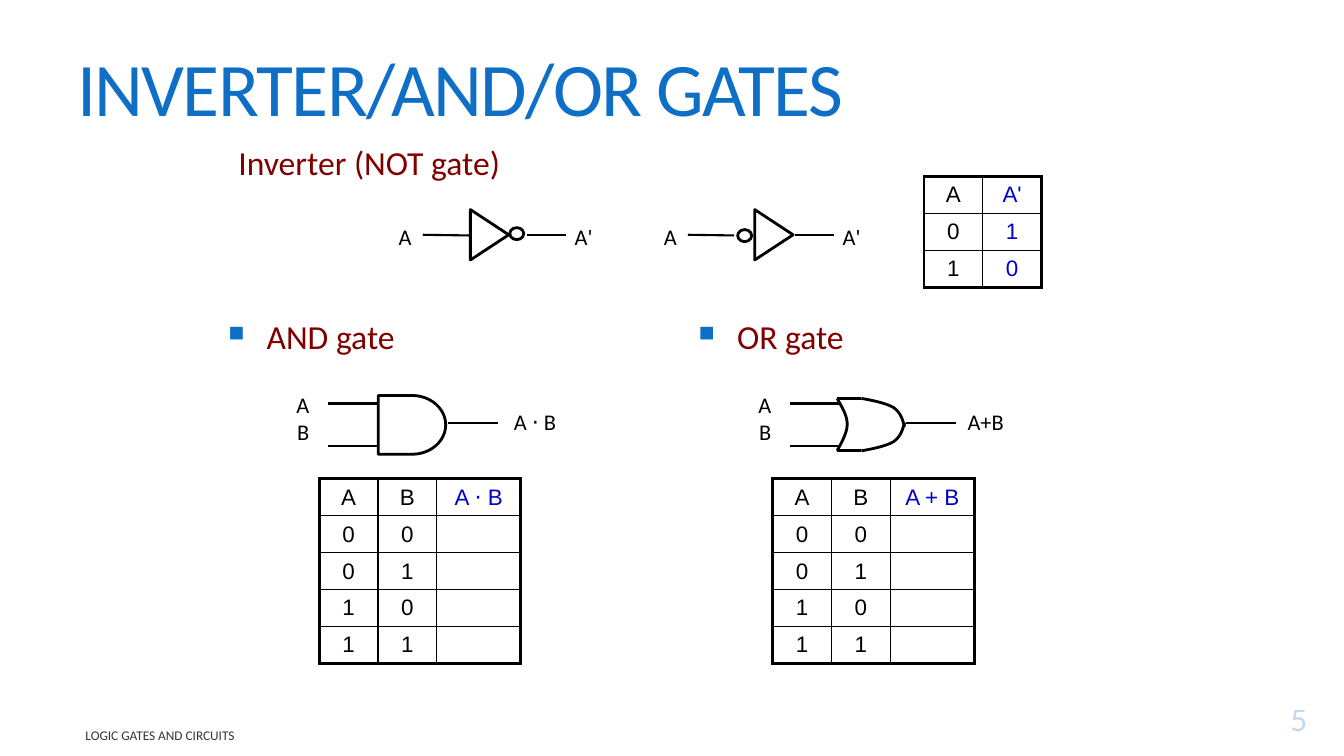
import lxml.etree
import pptx
import pptx.dml.color
import pptx.enum.shapes
import pptx.enum.text
import pptx.oxml
import pptx.oxml.ns
import pptx.util

Pt = pptx.util.Pt
qn = pptx.oxml.ns.qn
SHAPE = pptx.enum.shapes.MSO_SHAPE
ALIGN = pptx.enum.text.PP_ALIGN
ANCHOR = pptx.enum.text.MSO_ANCHOR

COLORS = {"blue": "0F6FC6", "maroon": "800000", "ink": "000000", "output": "0000CC"}
ROW_HEIGHT = 26.4
INPUT_WIDTH = 42
OUTPUT_WIDTH = 60


def rgb(name):
    return pptx.dml.color.RGBColor.from_string(COLORS[name])


def add_element(parent, tag, **attributes):
    element = lxml.etree.SubElement(parent, qn(tag))
    for name, value in attributes.items():
        element.set(name, str(value))
    return element


def write_text(frame, text, size=16, color="ink", font="Calibri", align=ALIGN.LEFT,
               anchor=ANCHOR.TOP, line_spacing=None, spacing=None, opacity=None,
               indent=0, bullet=None):
    frame.word_wrap = True
    frame.vertical_anchor = anchor
    paragraph = frame.paragraphs[0]
    paragraph.text = text
    paragraph.alignment = align
    if line_spacing:
        paragraph.line_spacing = line_spacing
    properties = paragraph._p.get_or_add_pPr()
    properties.set("marL", str(Pt(indent)))
    properties.set("indent", str(-Pt(indent) if bullet else 0))
    if bullet:
        bullet_color = add_element(properties, "a:buClr")
        add_element(bullet_color, "a:srgbClr", val=COLORS["blue"])
        add_element(properties, "a:buSzPct", val=65000)
        add_element(properties, "a:buChar", char=bullet)
    for run in paragraph.runs:
        run.font.size = Pt(size)
        run.font.name = font
        run.font.color.rgb = rgb(color)
        if spacing:
            run.font._element.set("spc", str(spacing))
        if opacity:
            fill_color = run.font._element.find(".//" + qn("a:srgbClr"))
            add_element(fill_color, "a:alpha", val=opacity * 1000)
    if not text:
        add_element(paragraph._p, "a:endParaRPr", sz=size * 100)


def add_text(shapes, left, top, width, height, text, **text_format):
    box = shapes.add_textbox(Pt(left), Pt(top), Pt(width), Pt(height))
    write_text(box.text_frame, text, **text_format)


def add_wire(shapes, left, top, right, bottom, weight=1.5):
    wire = shapes.add_connector(pptx.enum.shapes.MSO_CONNECTOR.STRAIGHT,
                                Pt(left), Pt(top), Pt(right), Pt(bottom))
    wire.line.color.rgb = rgb("ink")
    wire.line.width = Pt(weight)
    add_element(wire._element.spPr, "a:effectLst")


def style_outline(shape):
    shape.shadow.inherit = False
    shape.fill.background()
    shape.line.color.rgb = rgb("ink")
    shape.line.width = Pt(2)


def add_outline(shapes, kind, left, top, width, height, rotation=0):
    shape = shapes.add_shape(kind, Pt(left), Pt(top), Pt(width), Pt(height))
    shape.rotation = rotation
    style_outline(shape)


def add_curve(shapes, left, top, points, steps=12):
    samples = [points[0]]
    for start in range(0, len(points) - 1, 3):
        controls = points[start:start + 4]
        for step in range(1, steps + 1):
            t = step / steps
            weights = ((1 - t) ** 3, 3 * t * (1 - t) ** 2, 3 * t * t * (1 - t), t ** 3)
            samples.append(tuple(sum(weight * point[axis] for weight, point in zip(weights, controls))
                                 for axis in (0, 1)))
    placed = [(Pt(left + x), Pt(top + y)) for x, y in samples]
    builder = shapes.build_freeform(*placed[0])
    builder.add_line_segments(placed[1:], close=False)
    style_outline(builder.convert_to_shape())


def add_inverter(slide, left, top, triangle, bubble, bubble_drop, output):
    shapes = slide.shapes.add_group_shape().shapes
    add_outline(shapes, SHAPE.FLOWCHART_MERGE, left + triangle, top, 36, 27.4, rotation=270)
    add_outline(shapes, SHAPE.OVAL, left + bubble, top + bubble_drop, 10, 8.6)
    add_wire(shapes, left + 25, top + 13.7, left + 58, top + 14.2)
    add_wire(shapes, left + output, top + 13.7, left + output + 28, top + 13.7)
    add_text(shapes, left, top + 2.2, 24, 26.6, "A", align=ALIGN.RIGHT)
    add_text(shapes, left + output + 27, top + 2.2, 30, 26.6, "A'")


def draw_and_body(shapes, left, top):
    add_outline(shapes, SHAPE.FLOWCHART_DELAY, left + 66.2, top + 6.5, 48.2, 42)


def draw_or_body(shapes, left, top):
    height = 37.4
    left, top = left + 64, top + 8.6
    back = [(0, 0), (3.6, 6.5), (7.2, 12.2), (7.2, 18.7), (7.2, 25.2), (1.4, 34.6), (0, height)]
    upper = [(17.3, 0), (25.9, 1.4), (35.3, 3.6), (40.3, 6.5), (45.4, 10.1), (46.8, 15.1), (48.2, 20.2)]
    lower = [(x, height - y) for x, y in upper]
    for points in (back, upper, lower):
        add_curve(shapes, left, top, points)
    for edge in (top, top + height):
        add_wire(shapes, left, edge, left + 17.3, edge, weight=2)


def add_gate(slide, left, top, draw_body, output, label, label_left):
    shapes = slide.shapes.add_group_shape().shapes
    draw_body(shapes, left, top)
    for drop in (12.2, 42.5):
        add_wire(shapes, left + 30, top + drop, left + 66, top + drop)
    add_wire(shapes, left + output, top + 25.9, left + output + 36, top + 25.9)
    add_text(shapes, left, top, 24, 46, "A\nB", align=ALIGN.RIGHT)
    add_text(shapes, left + label_left, top + 12.2, OUTPUT_WIDTH, 26.6, label)


def add_border(cell, tag, weight, position):
    line = pptx.oxml.parse_xml(
        f'<a:{tag} xmlns:a="http://schemas.openxmlformats.org/drawingml/2006/main" w="{Pt(weight)}">'
        f'<a:solidFill><a:srgbClr val="{COLORS["ink"]}"/></a:solidFill></a:{tag}>')
    cell._tc.get_or_add_tcPr().insert(position, line)


def add_truth_table(slide, left, top, rows, widths):
    last_row, last_column = len(rows) - 1, len(widths) - 1
    table = slide.shapes.add_table(len(rows), len(widths), Pt(left), Pt(top),
                                   Pt(sum(widths)), Pt(ROW_HEIGHT * len(rows))).table
    table.first_row = False
    table.horz_banding = False
    for column, width in zip(table.columns, widths):
        column.width = Pt(width)
    for row_index, values in enumerate(rows):
        table.rows[row_index].height = Pt(ROW_HEIGHT)
        for column_index, value in enumerate(values):
            cell = table.cell(row_index, column_index)
            cell.fill.background()
            write_text(cell.text_frame, value, font="Arial", align=ALIGN.CENTER,
                       color="output" if column_index == last_column else "ink")
            cell.vertical_anchor = ANCHOR.MIDDLE
            edges = {"lnL": column_index == 0, "lnR": column_index == last_column,
                     "lnT": row_index == 0, "lnB": row_index == last_row}
            for position, (tag, is_outer) in enumerate(edges.items()):
                add_border(cell, tag, 2.25 if is_outer else 1, position)


def add_title(slide, left, top, width, height, text):
    title = slide.shapes.title
    title.left, title.top, title.width, title.height = Pt(left), Pt(top), Pt(width), Pt(height)
    title.text_frame.auto_size = pptx.enum.text.MSO_AUTO_SIZE.NONE
    write_text(title.text_frame, text, size=54, color="blue", anchor=ANCHOR.MIDDLE,
               line_spacing=0.85, spacing=-120)


def add_inverter_region(slide, left, top):
    add_text(slide.shapes, left, top, 318, 36, "Inverter (NOT gate)", size=24, color="maroon",
             line_spacing=0.85, indent=7.2)
    add_inverter(slide, left + 121, top + 52, triangle=54.7, bubble=87.1, bubble_drop=8.6, output=99.4)
    add_inverter(slide, left + 310.4, top + 52, triangle=68.4, bubble=60.5, bubble_drop=10, output=101.5)
    add_truth_table(slide, left + 504, top + 24, [("A", "A'"), ("0", "1"), ("1", "0")], (42, 42))


def add_gate_region(slide, left, top, heading, result, gate_left, table_left, **gate_parts):
    add_text(slide.shapes, left, top, 222, 36, heading, size=24, color="maroon",
             indent=27.4, bullet="■")
    add_gate(slide, left + gate_left, top + 54, **gate_parts)
    inputs = [(a, b, "") for a in "01" for b in "01"]
    add_truth_table(slide, left + table_left, top + 120, [("A", "B", result)] + inputs,
                    (INPUT_WIDTH, INPUT_WIDTH, OUTPUT_WIDTH))


def add_footer(slide, left, top):
    add_text(slide.shapes, left, top + 15, 396, 18, "LOGIC GATES AND CIRCUITS", size=9.5,
             anchor=ANCHOR.MIDDLE, opacity=80)
    add_text(slide.shapes, left + 817, top, 70, 30, "5", size=24, color="blue",
             align=ALIGN.RIGHT, anchor=ANCHOR.BOTTOM, opacity=25)


def main():
    presentation = pptx.Presentation()
    presentation.slide_width, presentation.slide_height = Pt(960), Pt(540)
    slide = presentation.slides.add_slide(presentation.slide_layouts[5])
    add_title(slide, 48, 21.6, 864, 90, "INVERTER/AND/OR GATES")
    add_inverter_region(slide, 156, 102)
    add_gate_region(slide, 156, 222, "AND gate", "A ⋅ B", gate_left=48, table_left=72,
                    draw_body=draw_and_body, output=116, label="A ⋅ B", label_left=156)
    add_gate_region(slide, 492, 222, "OR gate", "A + B", gate_left=42, table_left=60,
                    draw_body=draw_or_body, output=113, label="A+B", label_left=150)
    add_footer(slide, 54, 501)
    presentation.save("out.pptx")


if __name__ == "__main__":
    main()
